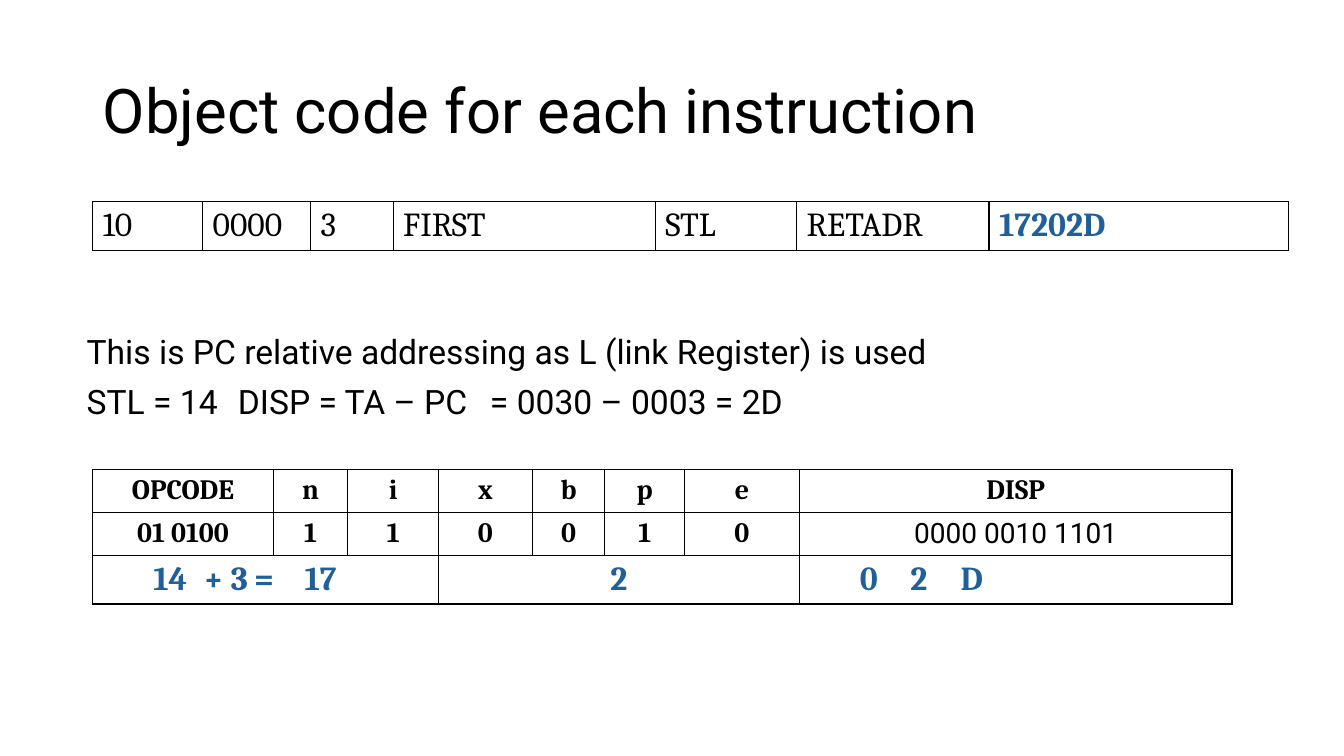
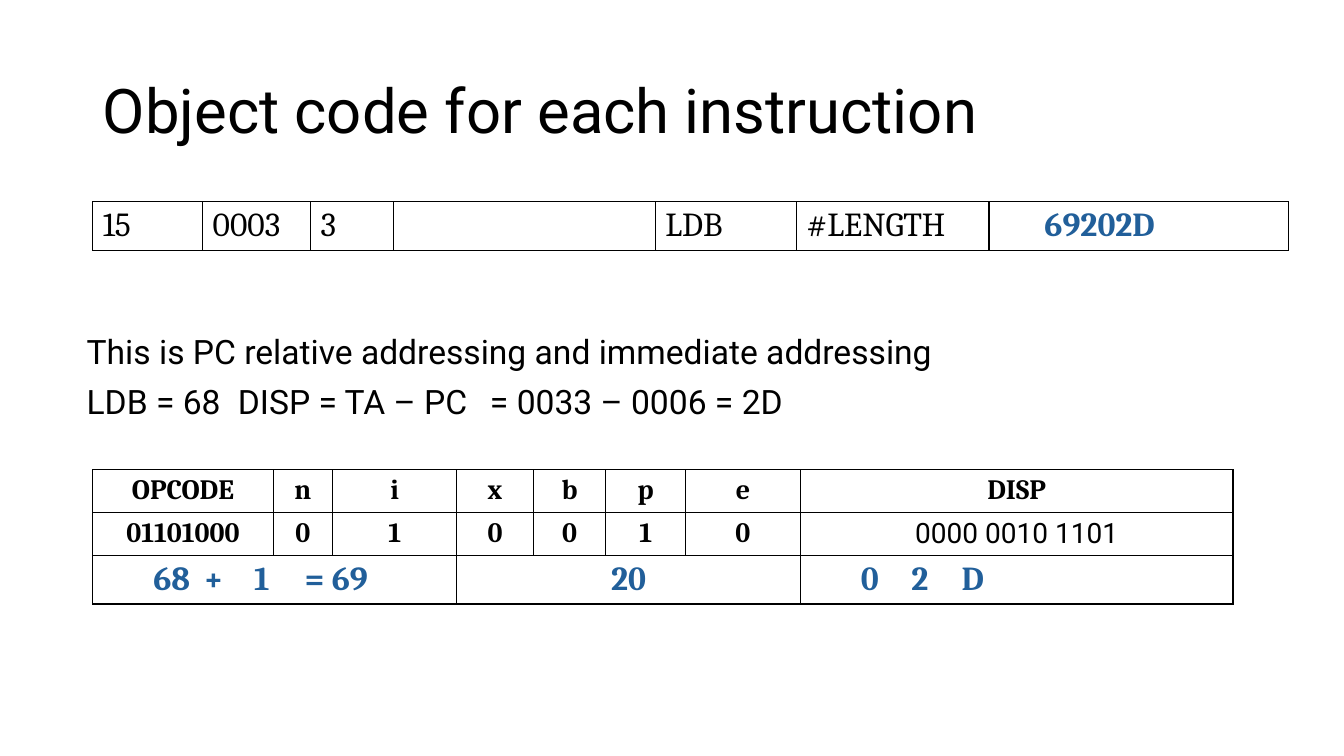
from lxml import etree
from pptx import Presentation
from pptx.dml.color import RGBColor
from pptx.enum.text import MSO_ANCHOR, PP_ALIGN
from pptx.oxml.ns import qn
from pptx.util import Emu, Inches, Pt

LEFT, MID = PP_ALIGN.LEFT, PP_ALIGN.CENTER
HEX = {"ink": "000000", "blue": "215F9A"}
WIDE, HIGH = 13.33, 7.5
EDGE, ROW = 0.92, 0.41
TITLE = "Object code for each instruction"
HEAD = ["OPCODE", "n", "i", "x", "b", "p", "e", "DISP"]
COLS = [1.09, 1.07, 0.82, 2.6, 1.4, 1.91, 2.97]
BOXES = {0: (EDGE, 0.4, 11.5, 1.45), 1: (0.76, 3.28, 12.3, 3.82)}

STYLES = {
    "title": {"size": Pt(44), "name": "Roboto", "bold": False},
    "body": {"size": Pt(24), "name": "Roboto", "bold": False},
    "line": {"size": Pt(24), "name": "Cambria", "bold": False},
    "code": {"size": Pt(24), "name": "Cambria", "bold": True},
    "bit": {"size": Pt(20), "name": "Cambria", "bold": True},
    "disp": {"size": Pt(20), "name": "Roboto", "bold": False},
}

SLIDES = [
    {
        "line": ["10", "0000", "3", "FIRST", "STL", "RETADR", "17202D"],
        "indent": 0,
        "body": ["This is PC relative addressing as L (link Register) is used",
                 "STL = 14\tDISP = TA – PC\t= 0030 – 0003 = 2D"],
        "stops": [2.29, 4.9],
        "cols": [1.79, 0.74, 0.9, 0.93, 0.72, 0.79, 1.14, 4.29],
        "bits": ["01 0100", "1", "1", "0", "0", "1", "0", "0000 0010 1101"],
        "sum": ("\t14\t+ 3\t=\t17", [0.85, 1.5, 2.23, 2.71]),
        "flags": "2",
    },
    {
        "line": ["15", "0003", "3", "", "LDB", "#LENGTH", "69202D"],
        "indent": 0.45,
        "body": ["This is PC relative addressing and immediate addressing",
                 "LDB = 68\tDISP = TA – PC\t= 0033 – 0006 = 2D"],
        "stops": [2.16, 4.77],
        "cols": [1.79, 0.59, 1.23, 0.76, 0.72, 0.79, 1.14, 4.29],
        "bits": ["01101000", "0", "1", "0", "0", "1", "0", "0000 0010 1101"],
        "sum": ("\t68\t+\t1\t= 69", [0.59, 1.41, 1.81, 2.19]),
        "flags": "20",
    },
]
DIGITS = ("\t0\t2\tD", [1.43, 1.91, 2.45])


def write(para, text, style, color="ink", align=LEFT, stops=(), indent=0):
    props = para._p.get_or_add_pPr()
    props.set("marL", str(Inches(indent)))
    props.set("indent", "0")
    etree.SubElement(props, qn("a:buNone"))
    if stops:
        tabs = etree.SubElement(props, qn("a:tabLst"))
        for stop in stops:
            etree.SubElement(tabs, qn("a:tab"), pos=str(Inches(stop)), algn="l")
    para.alignment = align
    if text:
        run = para.add_run()
        run.text = text
        for key, value in STYLES[style].items():
            setattr(run.font, key, value)
        run.font.color.rgb = RGBColor.from_string(HEX[color])


def border(cell):
    props = cell._tc.get_or_add_tcPr()
    for side in "LRTB":
        line = etree.SubElement(props, qn("a:ln" + side), w=str(Pt(1)))
        fill = etree.SubElement(line, qn("a:solidFill"))
        etree.SubElement(fill, qn("a:srgbClr"), val=HEX["ink"])
    cell.fill.background()


def grid(slide, top, cols, rows):
    frame = slide.shapes.add_table(rows, len(cols), Inches(EDGE), Inches(top),
                                   Inches(sum(cols)), Inches(ROW * rows))
    table = frame.table
    table.first_row = table.horz_banding = False
    for col, width in zip(table.columns, cols):
        col.width = Inches(width)
    for cell in table.iter_cells():
        border(cell)
    return table


def put(table, row, col, text, style, **look):
    write(table.cell(row, col).text_frame.paragraphs[0], text, style, **look)


def build(deck, layout, data):
    slide = deck.slides.add_slide(layout)
    title, body = slide.placeholders
    para = title.text_frame.paragraphs[0]
    write(para, TITLE, "title")
    para.line_spacing = 0.9

    last = len(COLS) - 1
    table = grid(slide, 2, COLS, 1)
    for col, text in enumerate(data["line"][:last]):
        put(table, 0, col, text, "line")
    put(table, 0, last, data["line"][last], "code", color="blue", indent=data["indent"])

    frame = body.text_frame
    for num, text in enumerate(data["body"]):
        para = frame.add_paragraph() if num else frame.paragraphs[0]
        write(para, text, "body", stops=data["stops"] if num else ())
        para.line_spacing = 0.9
        para.space_before = Pt(10 if num else 0)

    table = grid(slide, 4.66, data["cols"], 3)
    for row, texts in enumerate((HEAD, data["bits"])):
        for col, text in enumerate(texts):
            style = "disp" if row and col == 7 else "bit"
            put(table, row, col, text, style, align=MID)
    for start, end in ((0, 2), (3, 6)):
        table.cell(2, start).merge(table.cell(2, end))
    for col, (text, stops) in ((0, data["sum"]), (7, DIGITS)):
        put(table, 2, col, text, "code", color="blue", stops=stops)
    put(table, 2, 3, data["flags"], "code", color="blue", align=MID)


def main():
    deck = Presentation()
    deck.slide_width, deck.slide_height = Inches(WIDE), Inches(HIGH)
    layout = deck.slide_layouts[1]
    for num, box in BOXES.items():
        holder = layout.placeholders[num]
        for key, value in zip(("left", "top", "width", "height"), box):
            setattr(holder, key, Emu(Inches(value)))
    layout.placeholders[0].text_frame.vertical_anchor = MSO_ANCHOR.MIDDLE
    for data in SLIDES:
        build(deck, layout, data)
    deck.save("out.pptx")


if __name__ == "__main__":
    main()
